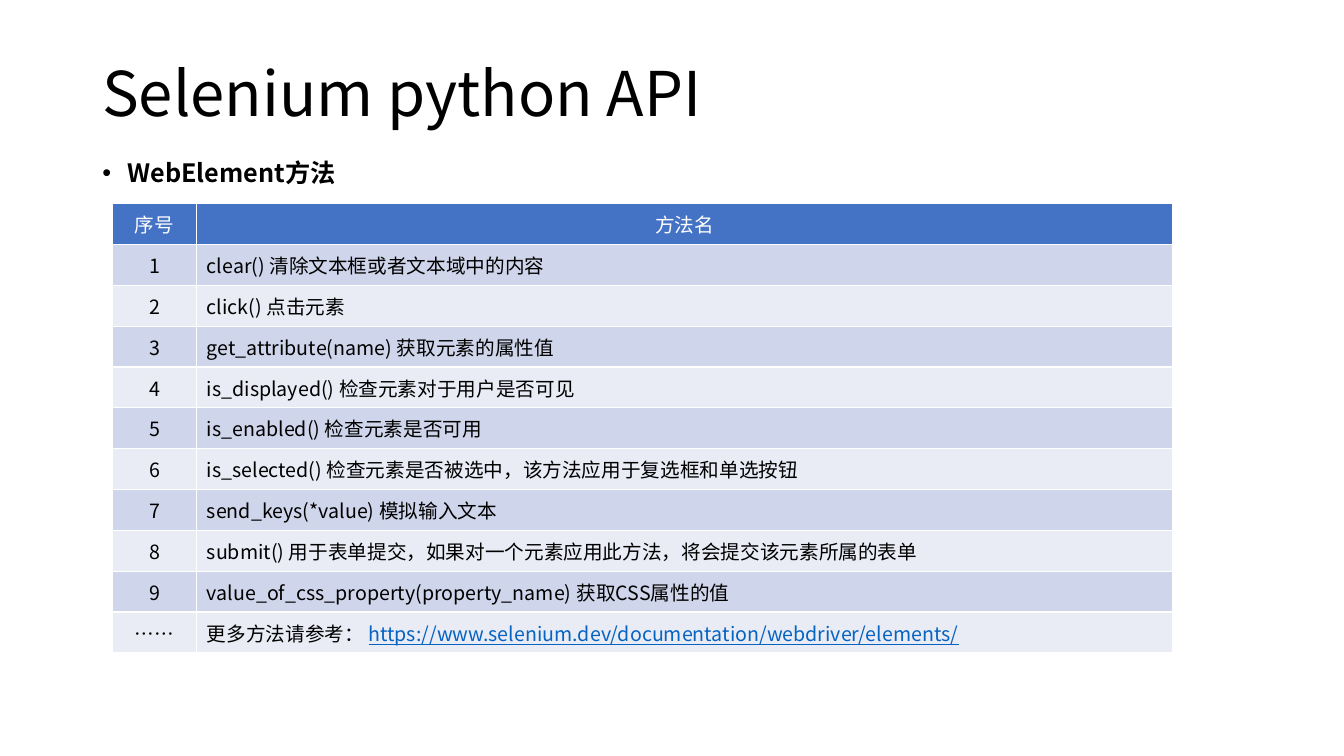
from pptx import Presentation
from pptx.dml.color import RGBColor
from pptx.enum.text import MSO_ANCHOR, PP_ALIGN
from pptx.oxml.ns import qn
from pptx.util import Pt

MID, TOP = MSO_ANCHOR.MIDDLE, MSO_ANCHOR.TOP
LEFT, CENTER = PP_ALIGN.LEFT, PP_ALIGN.CENTER

TITLE = "Selenium python API"
POINT = "WebElement方法"
HEAD = ("序号", "方法名")
METHODS = [
    "clear() 清除文本框或者文本域中的内容",
    "click() 点击元素",
    "get_attribute(name) 获取元素的属性值",
    "is_displayed() 检查元素对于用户是否可见",
    "is_enabled() 检查元素是否可用",
    "is_selected() 检查元素是否被选中，该方法应用于复选框和单选按钮",
    "send_keys(*value) 模拟输入文本",
    "submit() 用于表单提交，如果对一个元素应用此方法，将会提交该元素所属的表单",
    "value_of_css_property(property_name) 获取CSS属性的值",
]
MORE = ("……", "更多方法请参考： ")
URL = "https://www.selenium.dev/documentation/webdriver/elements/"

THEME = {
    "font": "Noto Sans CJK SC",
    "ink": "000000", "white": "FFFFFF", "link": "0563C1",
    "head": "4472C4", "bands": ("CFD5EA", "E9EBF5"),
    "title": 44, "point": 18, "cell": 14,
}
SIZE = (960, 540)
TITLE_BOX = (66, 16.5, 828, 104.4)
POINT_BOX = (66, 111.5, 813.6, 411)
TABLE_AT = (80.2, 145.5)
COLS = (60.4, 696.8)
ROW = 29.19
INDENT = 18


def color(key):
    """Return the theme colour, or the plain hex value, as RGB."""
    return RGBColor.from_string(THEME.get(key, key))


def add_run(para, text, size, ink="ink", **form):
    """Add a run in the theme font for Latin and Chinese alike."""
    run = para.add_run()
    run.text = text
    values = {"name": THEME["font"], "size": Pt(THEME[size]), "bold": False, **form}
    for key, value in values.items():
        setattr(run.font, key, value)
    run.font.color.rgb = color(ink)
    east = run.font._element.makeelement(qn("a:ea"), {"typeface": THEME["font"]})
    run.font._element.find(qn("a:latin")).addnext(east)


def add_box(slide, box, text, size, anchor, **form):
    """Add a wrapped text box and return its paragraph."""
    frame = slide.shapes.add_textbox(*map(Pt, box)).text_frame
    frame.word_wrap, frame.vertical_anchor = True, anchor
    para = frame.paragraphs[0]
    para.line_spacing = 0.9
    add_run(para, text, size, **form)
    return para


def add_bullet(para):
    """Give the paragraph a hanging round bullet."""
    props = para._p.get_or_add_pPr()
    props.set("marL", str(Pt(INDENT)))
    props.set("indent", str(-Pt(INDENT)))
    for tag, attrs in (("a:buFont", {"typeface": "Arial"}), ("a:buChar", {"char": "•"})):
        props.append(props.makeelement(qn(tag), attrs))


def fill_cell(cell, text, back, ink, align):
    """Fill one cell and return its paragraph."""
    cell.fill.solid()
    cell.fill.fore_color.rgb = color(back)
    cell.vertical_anchor = MID
    para = cell.text_frame.paragraphs[0]
    para.alignment = align
    add_run(para, text, "cell", ink)
    return para


def add_methods(slide):
    """Build the banded table of methods, ending with the link row."""
    rows = [HEAD, *((str(n), text) for n, text in enumerate(METHODS, 1)), MORE]
    size = (sum(COLS), ROW * len(rows))
    table = slide.shapes.add_table(len(rows), len(COLS), *map(Pt, TABLE_AT + size)).table
    for col, width in zip(table.columns, COLS):
        col.width = Pt(width)
    for r, row in enumerate(rows):
        table.rows[r].height = Pt(ROW)
        back, ink = (THEME["bands"][(r - 1) % 2], "ink") if r else ("head", "white")
        for c, text in enumerate(row):
            align = LEFT if r and c else CENTER
            para = fill_cell(table.cell(r, c), text, back, ink, align)
    add_run(para, URL, "cell", "link", underline=True)


deck = Presentation()
deck.slide_width, deck.slide_height = map(Pt, SIZE)
page = deck.slides.add_slide(deck.slide_layouts[6])
add_box(page, TITLE_BOX, TITLE, "title", MID)
point = add_box(page, POINT_BOX, POINT, "point", TOP, bold=True)
point.space_before = Pt(10)
add_bullet(point)
add_methods(page)
deck.save("out.pptx")
